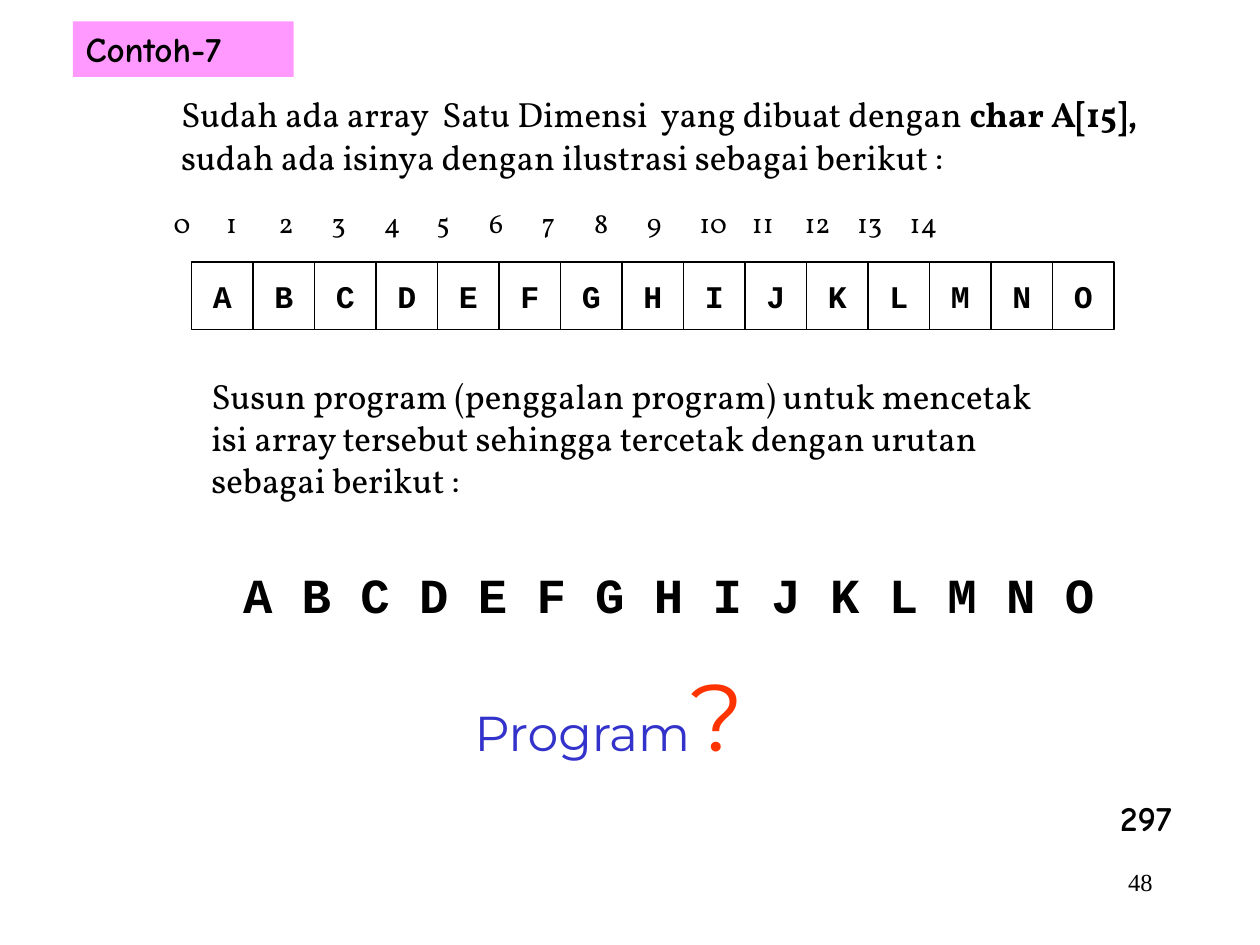
import dataclasses

import pptx
import pptx.dml.color
import pptx.enum.shapes
import pptx.enum.text
import pptx.oxml.ns
import pptx.util
from lxml import etree

Cm = pptx.util.Cm
ALIGN = pptx.enum.text.PP_ALIGN
ANCHOR = pptx.enum.text.MSO_ANCHOR


@dataclasses.dataclass(frozen=True)
class Theme:
    ink: str = "000000"
    label_fill: str = "FF99FF"
    program: str = "3333CC"
    question: str = "FF3300"
    prose_font: str = "Vollkorn"
    code_font: str = "Courier New"
    label_font: str = "Comic Neue"
    display_font: str = "Montserrat"
    number_font: str = "Times New Roman"
    page_size: int = 14
    index_size: int = 16
    cell_size: int = 18
    prose_size: int = 20
    output_size: int = 28
    question_size: int = 54


def add_span(para, text, *, font, size, color, bold=False):
    span = para.add_run()
    span.text = text
    span.font.name = font
    span.font.size = pptx.util.Pt(size)
    span.font.bold = bold
    span.font.color.rgb = pptx.dml.color.RGBColor.from_string(color)


class Composer:
    """Draws the elements of a page in one theme."""

    def __init__(self, deck, theme):
        self.theme = theme
        self.page = deck.slides.add_slide(deck.slide_layouts[5])

    def fill_frame(self, box, lines, *, align=ALIGN.LEFT, anchor=ANCHOR.TOP, wrap=True, **style):
        frame = box.text_frame
        frame.auto_size = pptx.enum.text.MSO_AUTO_SIZE.NONE
        frame.word_wrap = wrap
        frame.vertical_anchor = anchor
        for number, spans in enumerate(lines):
            para = frame.add_paragraph() if number else frame.paragraphs[0]
            para.alignment = align
            for text, changes in spans:
                add_span(para, text, **{"color": self.theme.ink, **style, **changes})

    def title(self, text, left, top, width, height):
        box = self.page.shapes.title
        box.left, box.top, box.width, box.height = Cm(left), Cm(top), Cm(width), Cm(height)
        box.fill.solid()
        box.fill.fore_color.rgb = pptx.dml.color.RGBColor.from_string(self.theme.label_fill)
        self.fill_frame(box, [[(text, {})]], font=self.theme.label_font,
                        size=self.theme.prose_size, bold=True)

    def text(self, lines, left, top, width, height, **style):
        box = self.page.shapes.add_textbox(Cm(left), Cm(top), Cm(width), Cm(height))
        self.fill_frame(box, lines, **style)
        return box

    def indices(self, count, left, top, width, height, step):
        labels = "\t".join(str(index) for index in range(count))
        box = self.text([[(labels, {})]], left, top, width, height,
                        font=self.theme.prose_font, size=self.theme.index_size)
        properties = box.text_frame.paragraphs[0]._p.get_or_add_pPr()
        stops = etree.SubElement(properties, pptx.oxml.ns.qn("a:tabLst"))
        for index in range(1, count):
            etree.SubElement(stops, pptx.oxml.ns.qn("a:tab"), pos=str(Cm(index * step)), algn="l")

    def cells(self, letters, left, top, width, height):
        for column, letter in enumerate(letters):
            box = self.page.shapes.add_shape(
                pptx.enum.shapes.MSO_SHAPE.RECTANGLE,
                Cm(left + column * width), Cm(top), Cm(width), Cm(height))
            box.shadow.inherit = False
            box.fill.background()
            box.line.color.rgb = pptx.dml.color.RGBColor.from_string(self.theme.ink)
            box.line.width = pptx.util.Pt(0.75)
            self.fill_frame(box, [[(letter, {})]], align=ALIGN.CENTER, anchor=ANCHOR.MIDDLE,
                            wrap=False, font=self.theme.code_font,
                            size=self.theme.cell_size, bold=True)


def main():
    deck = pptx.Presentation()
    deck.slide_width, deck.slide_height = Cm(25.4), Cm(19.05)
    theme = Theme()
    composer = Composer(deck, theme)
    letters = "ABCDEFGHIJKLMNO"
    prose = {"font": theme.prose_font, "size": theme.prose_size}

    composer.title("Contoh-7", 1.47, 0.43, 4.45, 1.12)
    composer.text(
        [[("Sudah ada array  Satu Dimensi  yang dibuat dengan ", {}),
          ("char A[15],", {"bold": True})],
         [("sudah ada isinya dengan ilustrasi sebagai berikut :", {})]],
        3.4, 1.75, 20.73, 2.79, **prose)
    composer.indices(len(letters), 3.25, 4.01, 19.69, 0.94, step=1.06)
    composer.cells(letters, 3.86, 5.28, 1.24, 1.37)
    composer.text(
        [[("Susun program (penggalan program) untuk mencetak isi array tersebut "
           "sehingga tercetak dengan urutan sebagai berikut :", {})]],
        4.01, 7.42, 17.27, 2.79, **prose)
    composer.text([[(" ".join(letters), {})]], 4.65, 11.25, 17.98, 1.45,
                  font=theme.code_font, size=theme.output_size, bold=True)
    composer.text(
        [[("Program", {"color": theme.program}),
          ("?", {"color": theme.question, "size": theme.question_size})]],
        9.32, 13.13, 6.55, 2.54, font=theme.display_font, size=theme.output_size)
    composer.text([[("297", {})]], 22.33, 15.93, 1.55, 1.12, wrap=False,
                  font=theme.label_font, size=theme.prose_size, bold=True)
    composer.text([[("48", {})]], 18.21, 17.35, 5.28, 1.27, align=ALIGN.RIGHT,
                  font=theme.number_font, size=theme.page_size)
    deck.save("out.pptx")


if __name__ == "__main__":
    main()
